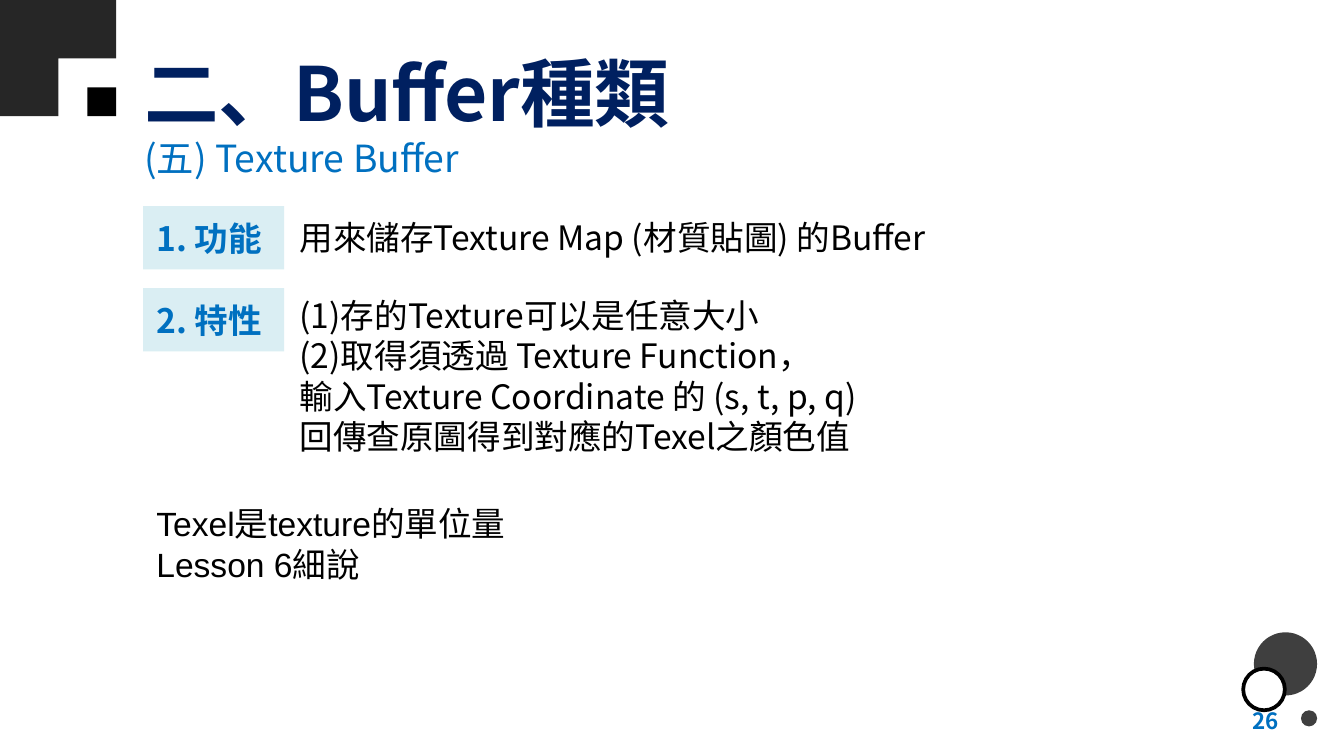
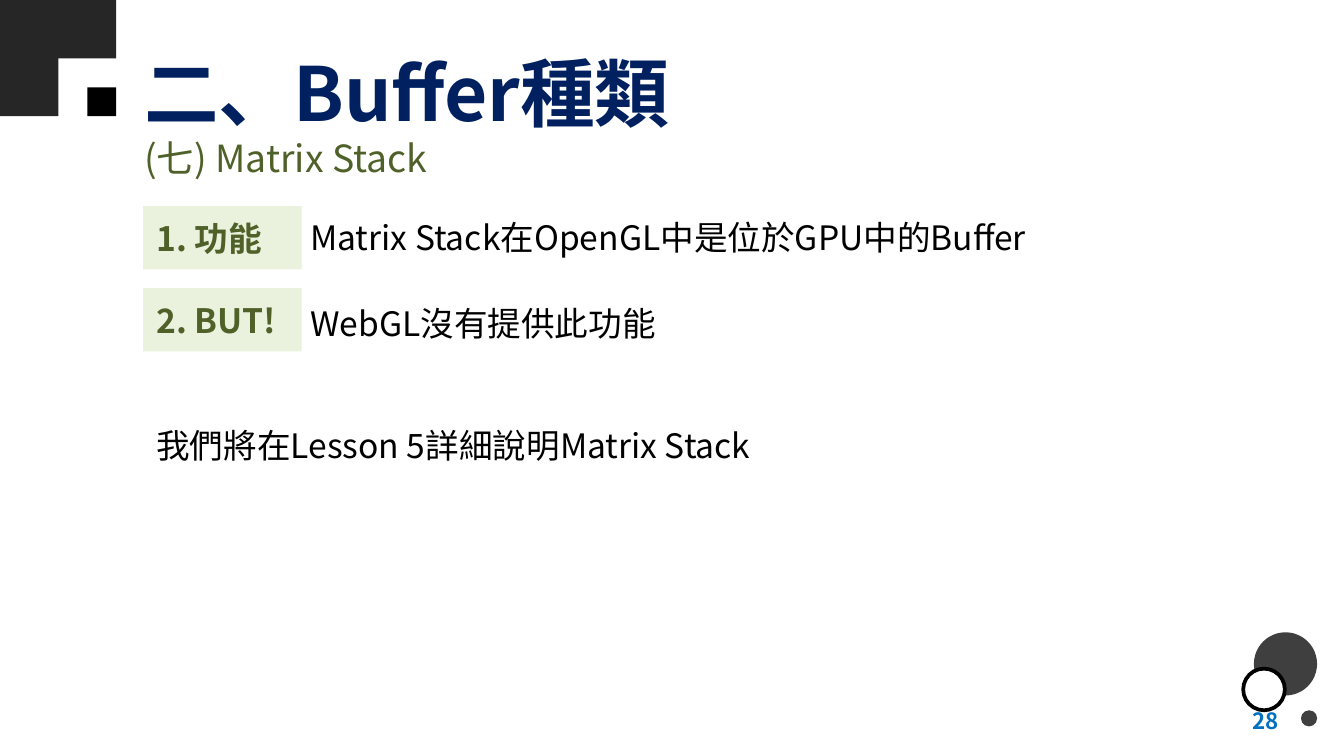
from dataclasses import dataclass
from typing import Any, Optional

from lxml.etree import SubElement
from pptx import Presentation
from pptx.dml.color import RGBColor
from pptx.enum.shapes import MSO_SHAPE as Preset
from pptx.enum.text import MSO_ANCHOR as Anchor, MSO_AUTO_SIZE as AutoSize, PP_ALIGN as Align
from pptx.oxml.ns import qn
from pptx.util import Emu, Pt

EMU_PER_PX = 4572  # 200 px to the inch
SLIDE_WIDTH, SLIDE_HEIGHT = 2000, 1125

BLACK = RGBColor(0x00, 0x00, 0x00)
WHITE = RGBColor(0xFF, 0xFF, 0xFF)
CHARCOAL = RGBColor(0x26, 0x26, 0x26)
GREY = RGBColor(0x3F, 0x3F, 0x3F)
NAVY = RGBColor(0x00, 0x20, 0x60)
BLUE = RGBColor(0x00, 0x70, 0xC0)
PALE_BLUE = RGBColor(0xDA, 0xEE, 0xF3)
GREEN = RGBColor(0x4F, 0x61, 0x28)
PALE_GREEN = RGBColor(0xEA, 0xF1, 0xDD)

CJK_FONT = "Noto Sans CJK TC"
LATIN_FONT = "Arial"

TITLE_LEFT = 195
LABEL_LEFT, LABEL_HEIGHT = 213, 94
LABEL_TOPS = (307, 429)
CORNER_PITCH, CORNER_SIDE = 86, 87  # squares overlap by 1 px to leave no seam


@dataclass(frozen=True)
class Box:
    left: int
    top: int
    width: int
    height: int

    def emu(self) -> list[Emu]:
        return [px(side) for side in (self.left, self.top, self.width, self.height)]


@dataclass(frozen=True)
class TextStyle:
    size: int = 18
    color: RGBColor = BLACK
    bold: bool = False
    font: str = CJK_FONT
    align: Align = Align.LEFT
    anchor: Anchor = Anchor.TOP
    grow: bool = False
    pad_y: int = 10


@dataclass(frozen=True)
class Ornament:
    preset: Preset
    box: Box
    fill: RGBColor
    outline: Optional[RGBColor] = None


@dataclass(frozen=True)
class TextBlock:
    box: Box
    lines: tuple[str, ...]
    style: TextStyle


@dataclass(frozen=True)
class Topic:
    number: str
    subtitle: str
    accent: RGBColor
    tint: RGBColor
    label_width: int
    labels: tuple[str, str]
    blocks: tuple[TextBlock, ...]


TITLE = TextStyle(size=40, color=NAVY, bold=True, anchor=Anchor.MIDDLE)
PAGE_NUMBER = TextStyle(size=12, color=BLUE, bold=True, align=Align.RIGHT, anchor=Anchor.MIDDLE)
BODY = TextStyle(grow=True)
REMARK = TextStyle(font=LATIN_FONT, pad_y=20)

CORNER_SQUARES = (
    *(Ornament(Preset.RECTANGLE,
               Box(column * CORNER_PITCH, row * CORNER_PITCH, CORNER_SIDE, CORNER_SIDE), CHARCOAL)
      for column, row in ((0, 0), (1, 0), (0, 1))),
    Ornament(Preset.RECTANGLE, Box(130, 130, 43, 43), BLACK),
)
FOOTER_DOTS = (
    Ornament(Preset.OVAL, Box(1866, 941, 94, 94), GREY),
    Ornament(Preset.OVAL, Box(1936, 1057, 24, 24), GREY),
    Ornament(Preset.OVAL, Box(1850, 995, 62, 62), WHITE, BLACK),
)

TOPICS = (
    Topic("26", "(五) Texture Buffer", BLUE, PALE_BLUE, 210, ("1. 功能", "2. 特性"), (
        TextBlock(Box(426, 313, 1212, 80), ("用來儲存Texture Map (材質貼圖) 的Buffer",), BODY),
        TextBlock(Box(426, 429, 1502, 262), (
            "(1)存的Texture可以是任意大小",
            "(2)取得須透過 Texture Function，",
            "輸入Texture Coordinate 的 (s, t, p, q)",
            "回傳查原圖得到對應的Texel之顏色值",
        ), BODY),
        TextBlock(Box(LABEL_LEFT, 729, 656, 280), ("Texel是texture的單位量", "Lesson 6細說"), REMARK),
    )),
    Topic("28", "(七) Matrix Stack", GREEN, PALE_GREEN, 236, ("1. 功能", "2. BUT!"), (
        TextBlock(Box(442, 313, 1440, 80), ("Matrix Stack在OpenGL中是位於GPU中的Buffer",), BODY),
        TextBlock(Box(442, 441, 1502, 80), ("WebGL沒有提供此功能",), BODY),
        TextBlock(Box(LABEL_LEFT, 622, 1502, 80), ("我們將在Lesson 5詳細說明Matrix Stack",), BODY),
    )),
)


def px(length: int) -> Emu:
    return Emu(length * EMU_PER_PX)


def set_all(target: Any, values: dict[str, Any]) -> None:
    for name, value in values.items():
        setattr(target, name, value)


def write_text(shape: Any, lines: tuple[str, ...], style: TextStyle) -> None:
    """Fill a shape with one paragraph per line, in one style."""
    frame = shape.text_frame
    set_all(frame, {
        "word_wrap": True,
        "auto_size": AutoSize.SHAPE_TO_FIT_TEXT if style.grow else AutoSize.NONE,
        "vertical_anchor": style.anchor,
        "margin_left": px(20),
        "margin_right": px(20),
        "margin_top": px(style.pad_y),
        "margin_bottom": px(style.pad_y),
    })
    for index, line in enumerate(lines):
        paragraph = frame.add_paragraph() if index else frame.paragraphs[0]
        paragraph.alignment = style.align
        run = paragraph.add_run()
        run.text = line
        set_all(run.font, {"size": Pt(style.size), "bold": style.bold, "name": style.font})
        run.font.color.rgb = style.color
        east_asian = SubElement(run.font._element, qn("a:ea"))
        east_asian.set("typeface", CJK_FONT)


def add_text(slide: Any, box: Box, lines: tuple[str, ...], style: TextStyle) -> None:
    write_text(slide.shapes.add_textbox(*box.emu()), lines, style)


def add_ornament(shapes: Any, ornament: Ornament) -> Any:
    shape = shapes.add_shape(ornament.preset, *ornament.box.emu())
    shape.shadow.inherit = False
    shape.fill.solid()
    shape.fill.fore_color.rgb = ornament.fill
    if ornament.outline is None:
        shape.line.fill.background()
    else:
        shape.line.color.rgb = ornament.outline
        shape.line.width = Pt(2)
    return shape


def add_frame(slide: Any, number: str) -> None:
    """Draw what every slide shares: title, ornaments and page number."""
    add_text(slide, Box(TITLE_LEFT, 42, 1128, 188), ("二、Buffer種類",), TITLE)
    for ornaments in (CORNER_SQUARES, FOOTER_DOTS):
        group = slide.shapes.add_group_shape()
        for ornament in ornaments:
            add_ornament(group.shapes, ornament)
    add_text(slide, Box(1457, 1043, 466, 60), (number,), PAGE_NUMBER)


def add_topic(presentation: Any, topic: Topic) -> None:
    slide = presentation.slides.add_slide(presentation.slide_layouts[6])
    add_frame(slide, topic.number)
    subtitle_style = TextStyle(size=20, color=topic.accent, grow=True)
    add_text(slide, Box(TITLE_LEFT, 192, 1036, 88), (topic.subtitle,), subtitle_style)
    label_style = TextStyle(color=topic.accent, bold=True, anchor=Anchor.MIDDLE)
    for top, label in zip(LABEL_TOPS, topic.labels):
        box = Box(LABEL_LEFT, top, topic.label_width, LABEL_HEIGHT)
        shape = add_ornament(slide.shapes, Ornament(Preset.RECTANGLE, box, topic.tint))
        write_text(shape, (label,), label_style)
    for block in topic.blocks:
        add_text(slide, block.box, block.lines, block.style)


def main() -> None:
    presentation = Presentation()
    set_all(presentation, {"slide_width": px(SLIDE_WIDTH), "slide_height": px(SLIDE_HEIGHT)})
    for topic in TOPICS:
        add_topic(presentation, topic)
    presentation.save("out.pptx")


if __name__ == "__main__":
    main()
